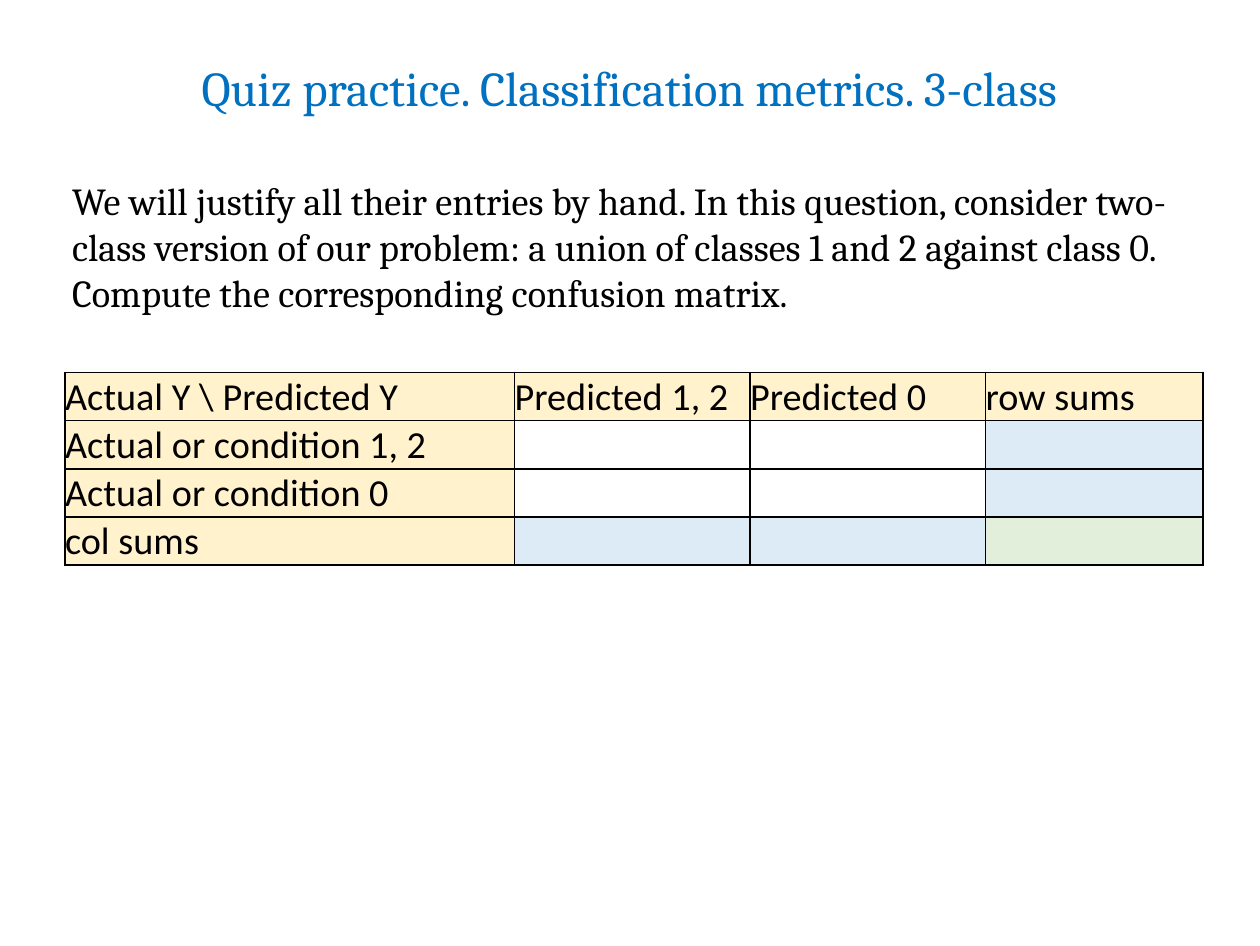
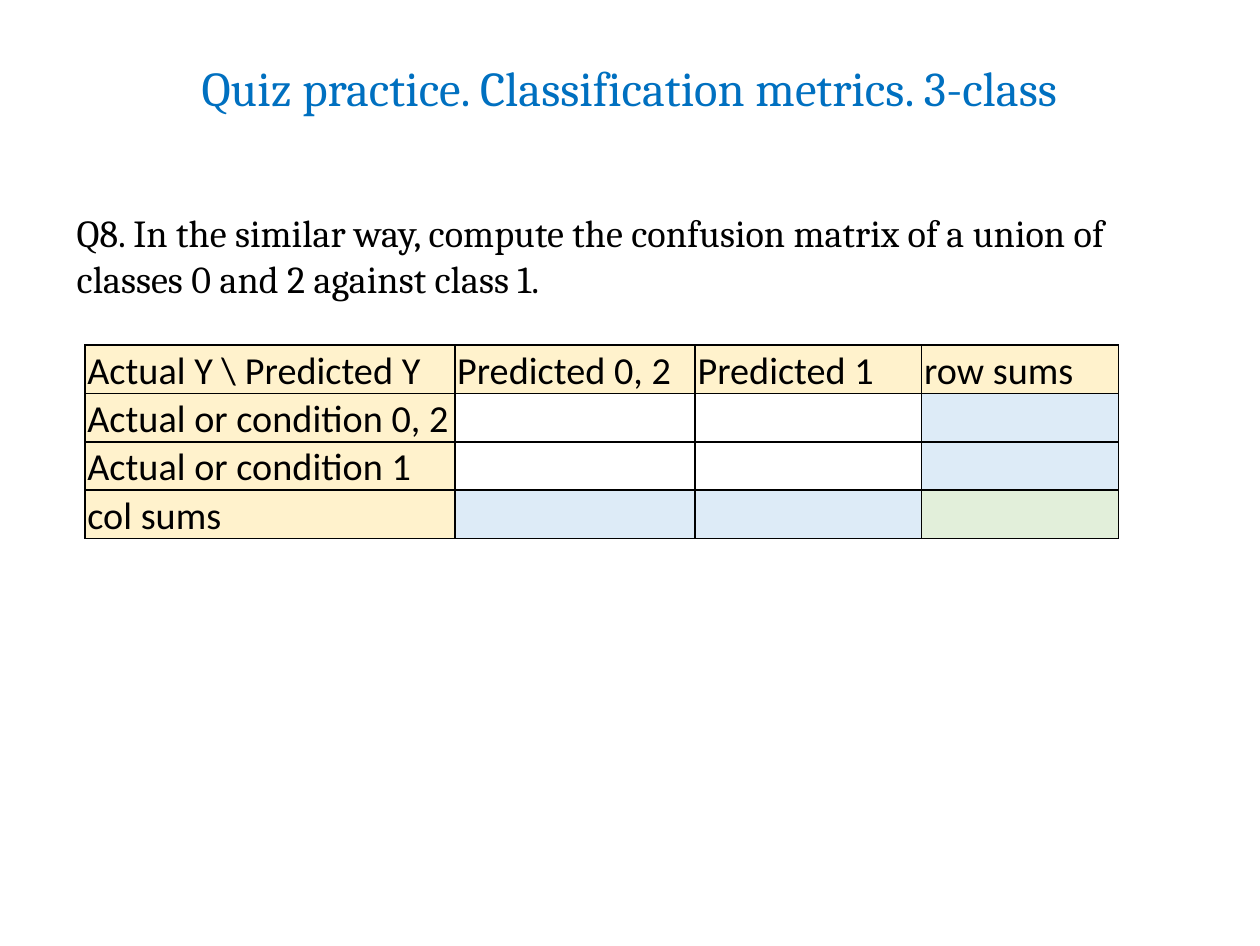
from dataclasses import dataclass

from lxml.etree import SubElement
from pptx import Presentation
from pptx.dml.color import RGBColor
from pptx.enum.text import MSO_ANCHOR as Anchor, MSO_AUTO_SIZE as AutoSize, PP_ALIGN as Align
from pptx.oxml.ns import qn
from pptx.util import Inches, Pt


@dataclass(frozen=True)
class Theme:
    title_font: str = "Cambria"
    table_font: str = "Calibri"
    title_size: int = 14
    body_size: int = 11
    title_color: str = "0070C0"
    ink: str = "000000"
    heading_fill: str = "FFF2CC"
    sum_fill: str = "DDEBF7"
    total_fill: str = "E2EFDA"
    border_width: float = 0.5


theme = Theme()
prs = Presentation()
prs.slide_width = Pt(363)
prs.slide_height = Pt(272.5)
# The default template declares a preset size, which no longer holds.
prs.element.sldSz.attrib.pop("type", None)
# All lengths below are percentages of the slide's width or height.
COLUMN, ROW = prs.slide_width / 100, prs.slide_height / 100
TITLE_ONLY = prs.slide_layouts[5]
TITLE = "Quiz practice. Classification metrics. 3-class"
TABLE_ROW = 5.09

questions = [
    dict(text="We will justify all their entries by hand. In this question, consider "
              "two-class version of our problem: a union of classes 1 and 2 against "
              "class 0. Compute the corresponding confusion matrix.",
         text_at=(3.77, 17.44), text_height=22.2,
         union="1, 2", single="0",
         table_at=(5.16, 39.37), widths=(35.68, 18.7, 18.7, 17.26), inset=0),
    dict(text="Q8. In the similar way, compute the confusion matrix of a union of "
              "classes 0 and 2 against class 1.",
         text_at=(4.15, 20.85), text_height=12.42,
         union="0, 2", single="1",
         table_at=(6.74, 36.47), widths=(29.36, 19.08, 17.98, 15.63), inset=0.01),
]


def add_run(paragraph, text, font, size, color):
    run = paragraph.add_run()
    run.text = text
    run.font.name, run.font.size = font, Pt(size)
    run.font.color.rgb = RGBColor.from_string(color)


def format_cell(cell, fill, inset):
    """Set the borders, fill, insets and anchor of one table cell."""
    props = cell._tc.get_or_add_tcPr()
    for side in ("lnL", "lnR", "lnT", "lnB"):
        line = SubElement(props, qn(f"a:{side}"), w=str(Pt(theme.border_width)))
        SubElement(SubElement(line, qn("a:solidFill")), qn("a:srgbClr"), val=theme.ink)
    if fill:
        cell.fill.solid()
        cell.fill.fore_color.rgb = RGBColor.from_string(fill)
    else:
        cell.fill.background()
    cell.margin_left = cell.margin_right = cell.margin_top = Inches(inset)
    cell.margin_bottom = 0
    cell.vertical_anchor = Anchor.BOTTOM


for question in questions:
    slide = prs.slides.add_slide(TITLE_ONLY)

    title = slide.shapes.title
    title.left, title.top = 0, int(6.08 * ROW)
    title.width, title.height = prs.slide_width, int(6.34 * ROW)
    frame = title.text_frame
    frame.margin_left = frame.margin_right = frame.margin_top = frame.margin_bottom = 0
    frame.vertical_anchor = Anchor.MIDDLE
    frame.auto_size = AutoSize.NONE
    frame.paragraphs[0].alignment = Align.CENTER
    add_run(frame.paragraphs[0], TITLE, theme.title_font, theme.title_size, theme.title_color)

    left, top = question["text_at"]
    prompt = slide.shapes.add_textbox(int(left * COLUMN), int(top * ROW), int(93.22 * COLUMN),
                                      int(question["text_height"] * ROW)).text_frame
    prompt.word_wrap = True
    add_run(prompt.paragraphs[0], question["text"], theme.title_font, theme.body_size, theme.ink)

    union, single = question["union"], question["single"]
    column_heads = ["Actual Y \\ Predicted Y", f"Predicted {union}", f"Predicted {single}",
                    "row sums"]
    row_heads = [column_heads[0], f"Actual or condition {union}",
                 f"Actual or condition {single}", "col sums"]
    last = len(row_heads) - 1

    left, top = question["table_at"]
    widths = question["widths"]
    matrix = slide.shapes.add_table(
        len(row_heads), len(column_heads), int(left * COLUMN), int(top * ROW),
        int(sum(widths) * COLUMN), int(len(row_heads) * TABLE_ROW * ROW)).table
    matrix.first_row = matrix.horz_banding = False
    for column, width in zip(matrix.columns, widths):
        column.width = int(width * COLUMN)

    for r, row_head in enumerate(row_heads):
        matrix.rows[r].height = int(TABLE_ROW * ROW)
        for c, column_head in enumerate(column_heads):
            cell = matrix.cell(r, c)
            paragraph = cell.text_frame.paragraphs[0]
            if r == 0 or c == 0:
                fill = theme.heading_fill
                add_run(paragraph, row_head if c == 0 else column_head,
                        theme.table_font, theme.body_size, theme.ink)
            else:
                sums = (r == last) + (c == last)
                fill = (None, theme.sum_fill, theme.total_fill)[sums]
                # The end mark keeps an empty cell from growing its row.
                SubElement(paragraph._p, qn("a:endParaRPr"), sz=str(theme.body_size * 100))
            format_cell(cell, fill, question["inset"])

prs.save("out.pptx")
